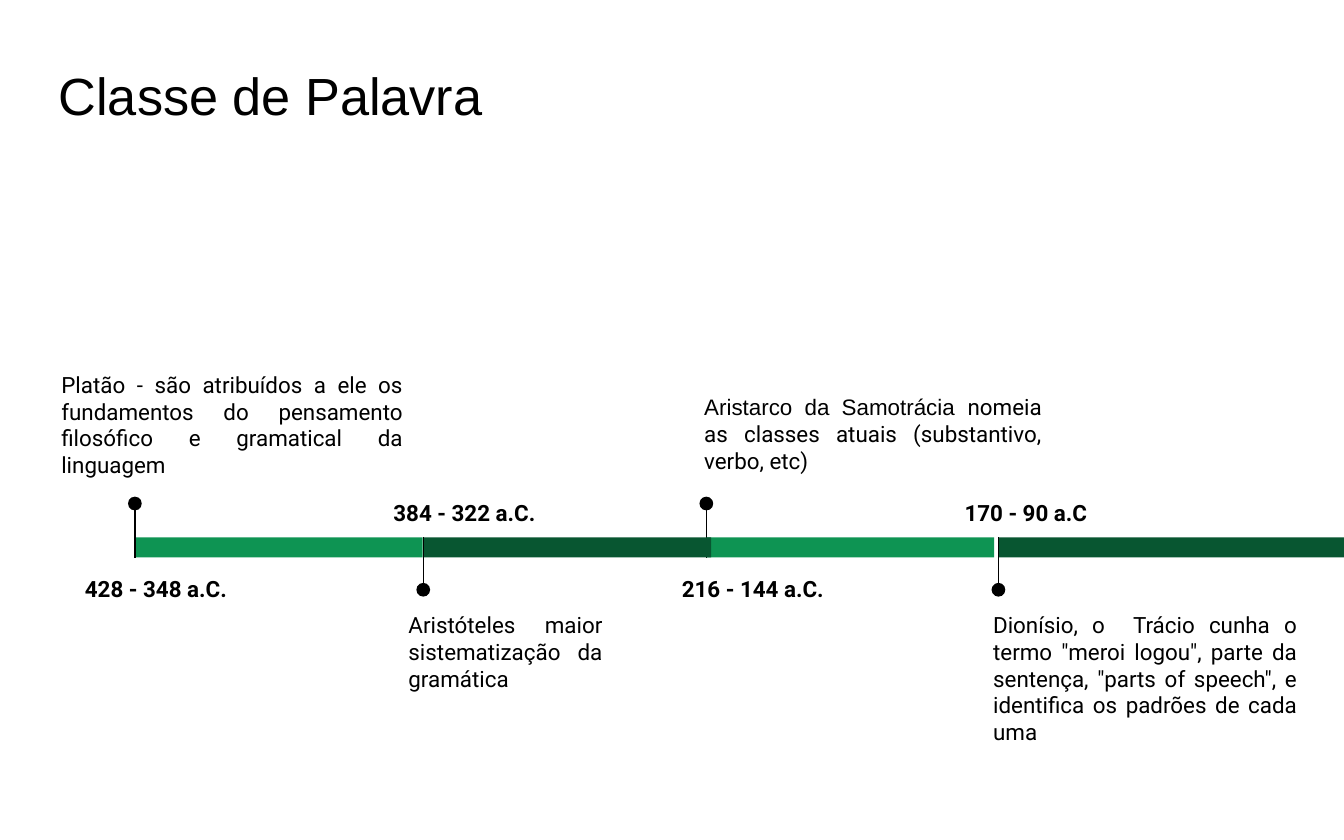
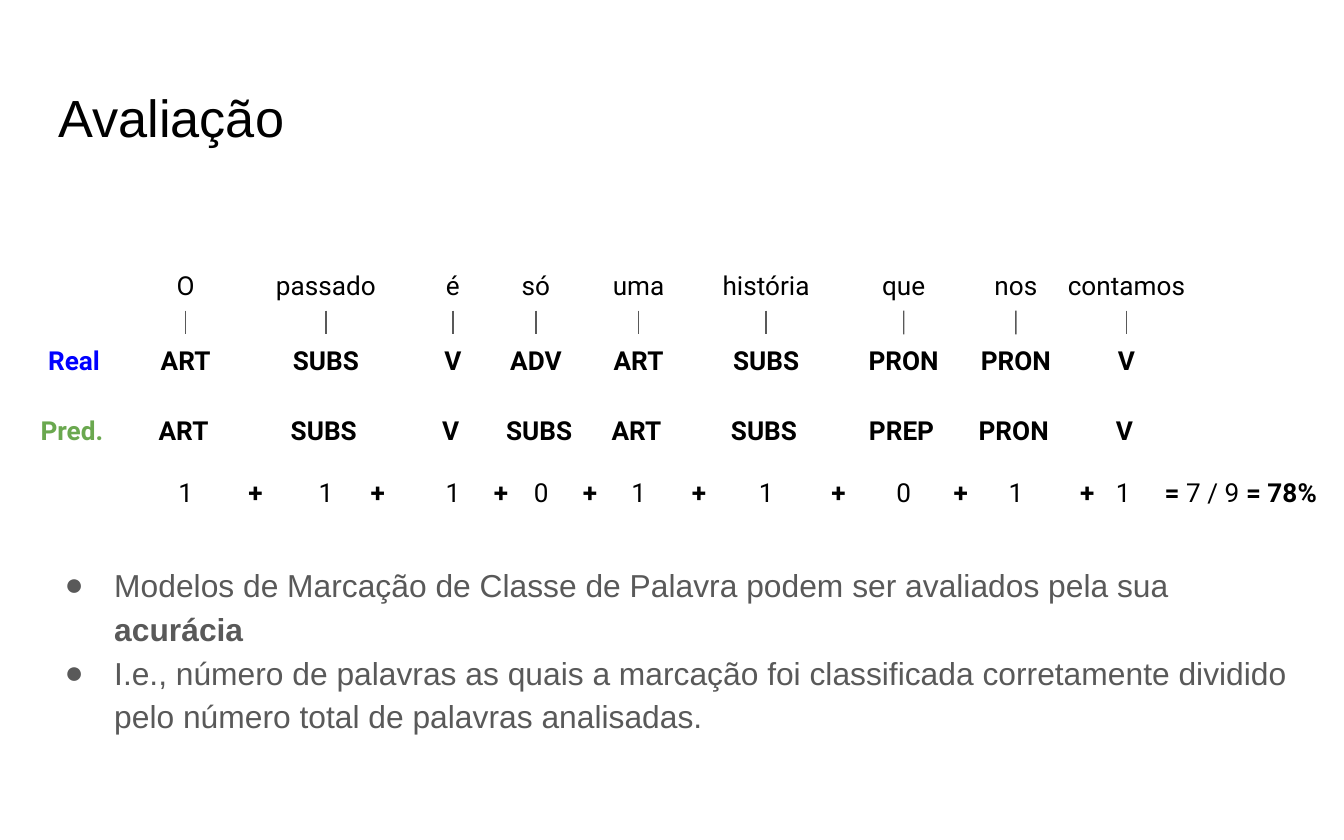
from lxml.etree import SubElement
from pptx import Presentation
from pptx.dml.color import RGBColor
from pptx.enum.shapes import MSO_CONNECTOR, MSO_SHAPE
from pptx.enum.text import MSO_ANCHOR, PP_ALIGN
from pptx.oxml.ns import qn
from pptx.util import Cm, Pt

BLACK, GRAY = "000000", "595959"
GREEN, DARK = "0E9453", "085631"
BLUE, LIME = "0000FF", "6AA84F"
SANS, BODY = "Arial", "Roboto"
CENTER, FULL = PP_ALIGN.CENTER, PP_ALIGN.JUSTIFY


def color(code):
    return RGBColor.from_string(code)


def frame(shapes, left, top, width, height):
    box = shapes.add_textbox(Cm(left), Cm(top), Cm(width), Cm(height))
    text = box.text_frame
    text.word_wrap = True
    text.margin_left = text.margin_right = Cm(0.25)
    text.margin_top = text.margin_bottom = Cm(0.25)
    return box


def write(para, parts, size, face=BODY, tone=BLACK, bold=None, align=None):
    if isinstance(parts, str):
        parts = [(parts, {})]
    for words, style in parts:
        run = para.add_run()
        run.text = words
        for key, value in style.items():
            setattr(run.font, key, value)
    para.alignment = align
    font = para.font
    font.size, font.name, font.bold = Pt(size), face, bold
    font.color.rgb = color(tone)


def label(shapes, box, parts, size, **style):
    item = frame(shapes, *box)
    write(item.text_frame.paragraphs[0], parts, size, **style)
    return item


def block(shapes, kind, box, tone):
    item = shapes.add_shape(kind, *map(Cm, box))
    item.shadow.inherit = False
    item.fill.solid()
    item.fill.fore_color.rgb = color(tone)
    item.line.fill.background()


def stem(shapes, start, end, tone):
    line = shapes.add_connector(MSO_CONNECTOR.STRAIGHT, *map(Cm, start + end))
    line.line.color.rgb = color(tone)
    line.line.width = Pt(0.75)
    SubElement(line._element.spPr, qn("a:effectLst"))
    return line


def title(slide, top, words):
    label(slide.shapes, (0.86, top, 23.67, 1.78), words, 28, face=SANS)


def event(slide, x, span, above, date, place, note, spot):
    shapes = slide.shapes.add_group_shape().shapes
    bar, deep, dot = 10.16, 0.38, 0.26
    tip = bar - 0.64 if above else bar + 0.99
    base = bar + deep if above else bar
    block(shapes, MSO_SHAPE.RECTANGLE, (x, bar, span, deep), GREEN if above else DARK)
    stem(shapes, (x, tip), (x, base), BLACK)
    block(shapes, MSO_SHAPE.OVAL, (x - dot / 2, tip - dot / 2, dot, dot), BLACK)
    shift, width = place
    top = bar + deep if above else bar - 1.04
    item = label(shapes, (x + shift, top, width, 1.04), date, 12, bold=True, align=CENTER)
    para = item.text_frame.paragraphs[0]
    para.line_spacing, para.space_after = 1.15, Pt(16)
    shift, top, width, height = spot
    label(shapes, (x + shift, top, width, height), note, 12, align=FULL)


EVENTS = [
    (2.55, 5.44, True, "428 - 348 a.C.", (-1.2, 3.2),
     "Platão - são atribuídos a ele os fundamentos do pensamento "
     "filosófico e gramatical da linguagem", (-1.64, 6.76, 6.96, 3.4)),
    (13.35, 5.44, True, "216 - 144 a.C.", (-0.9, 3.56),
     [("Aristarco da Samotrácia ", {"name": SANS}),
      ("nomeia as classes atuais (substantivo, verbo, etc)", {})],
     (-0.29, 7.19, 6.88, 2.62)),
    (8, 5.44, False, "384 - 322 a.C.", (-1.01, 3.58),
     "Aristóteles maior sistematização da gramática", (-0.53, 11.3, 4.17, 2.62)),
    (18.87, 6.53, False, "170 - 90 a.C", (-1.04, 3.12),
     'Dionísio, o  Trácio cunha o termo "meroi logou", parte da sentença, '
     '"parts of speech", e identifica os padrões de cada uma',
     (-0.35, 11.3, 6.25, 4.24)),
]

TOPS = 4.9, 6.32, 7.65, 8.81
NUDGE = -0.04
WORDS = [
    (3.51, 0, (1.83, 1.83, 1.83), "O", "ART", "ART"),
    (6.16, 0, (2.95, 2.95, 2.95), "passado", "SUBS", "SUBS"),
    (8.56, 0, (1.32, 1.32, 1.32), "é", "V", "V"),
    (10.13, 0.1, (1.32, 1.7, 1.96), "só", "ADV", "SUBS"),
    (12.07, 0, (1.7, 1.7, 1.7), "uma", "ART", "ART"),
    (14.48, 0, (2.95, 2.95, 2.95), "história", "SUBS", "SUBS"),
    (17.08, 0, (1.7, 2.08, 2.08), "que", "PRON", "PREP"),
    (19.2, 0, (1.7, 2.08, 2.08), "nos", "PRON", "PRON"),
    (21.29, 0, (3.15, 3.15, 3.15), "contamos", "V", "V"),
]
SIGNS = 4.83, 7.14, 9.47, 11.15, 13.21, 15.85, 18.16, 20.55


def cell(slide, mid, row, width, parts, **style):
    box = mid - width / 2, TOPS[row], width, 0.97
    item = label(slide.shapes, box, parts, 14, align=CENTER, **style)
    item.text_frame.vertical_anchor = MSO_ANCHOR.MIDDLE
    return item


def column(slide, mid, shift, widths, word, real, guess, tail):
    head = cell(slide, mid, 0, widths[0], word)
    tag = cell(slide, mid, 1, widths[1], real, bold=True)
    cell(slide, mid + shift + NUDGE, 2, widths[2], guess, bold=True)
    cell(slide, mid + shift, 3, widths[2], ("1" if real == guess else "0") + tail)
    line = stem(slide.shapes, (mid, TOPS[0]), (mid, TOPS[1]), GRAY)
    line.begin_connect(head, 2)
    line.end_connect(tag, 0)


def score(slide):
    for spot, item in enumerate(WORDS, 1):
        column(slide, *item, " " if spot == len(WORDS) else "")
    cell(slide, 1.4, 1, 1.83, "Real", tone=BLUE, bold=True)
    cell(slide, 1.4 + NUDGE, 2, 1.83, "Pred.", tone=LIME, bold=True)
    for mid in SIGNS:
        cell(slide, mid, 3, 1.83, "+", bold=True)
    strong = {"bold": True}
    cell(slide, 23.45, 3, 3.45, [("= ", strong), ("7 / 9 ", {}), ("= 78% ", strong)])


def bullet(para):
    props = para._p.get_or_add_pPr()
    props.set("marL", str(Cm(1.27)))
    props.set("indent", str(Cm(-0.94)))
    tint = SubElement(props, qn("a:buClr"))
    SubElement(tint, qn("a:srgbClr"), val=GRAY)
    SubElement(props, qn("a:buFont"), typeface=SANS)
    SubElement(props, qn("a:buChar"), char="●")


def points(slide, box, items):
    text = frame(slide.shapes, *box).text_frame
    for spot, parts in enumerate(items):
        para = text.add_paragraph() if spot else text.paragraphs[0]
        bullet(para)
        write(para, parts, 17, face=SANS, tone=GRAY)
        para.line_spacing = 1.15
        para.space_before = Pt(0 if spot else 10)


def history(slide):
    title(slide, 0.94, "Classe de Palavra")
    for item in EVENTS:
        event(slide, *item)


def rating(slide):
    title(slide, 1.37, "Avaliação")
    points(slide, (0.64, 10.34, 24.26, 4.57), [
        [("Modelos de Marcação de Classe de Palavra podem ser avaliados pela sua ", {}),
         ("acurácia", {"bold": True})],
        "I.e., número de palavras as quais a marcação foi classificada "
        "corretamente dividido pelo número total de palavras analisadas.",
    ])
    score(slide)


def main():
    deck = Presentation()
    deck.slide_width, deck.slide_height = Cm(25.4), Cm(15.88)
    for draw in (history, rating):
        draw(deck.slides.add_slide(deck.slide_layouts[6]))
    deck.save("out.pptx")


if __name__ == "__main__":
    main()
